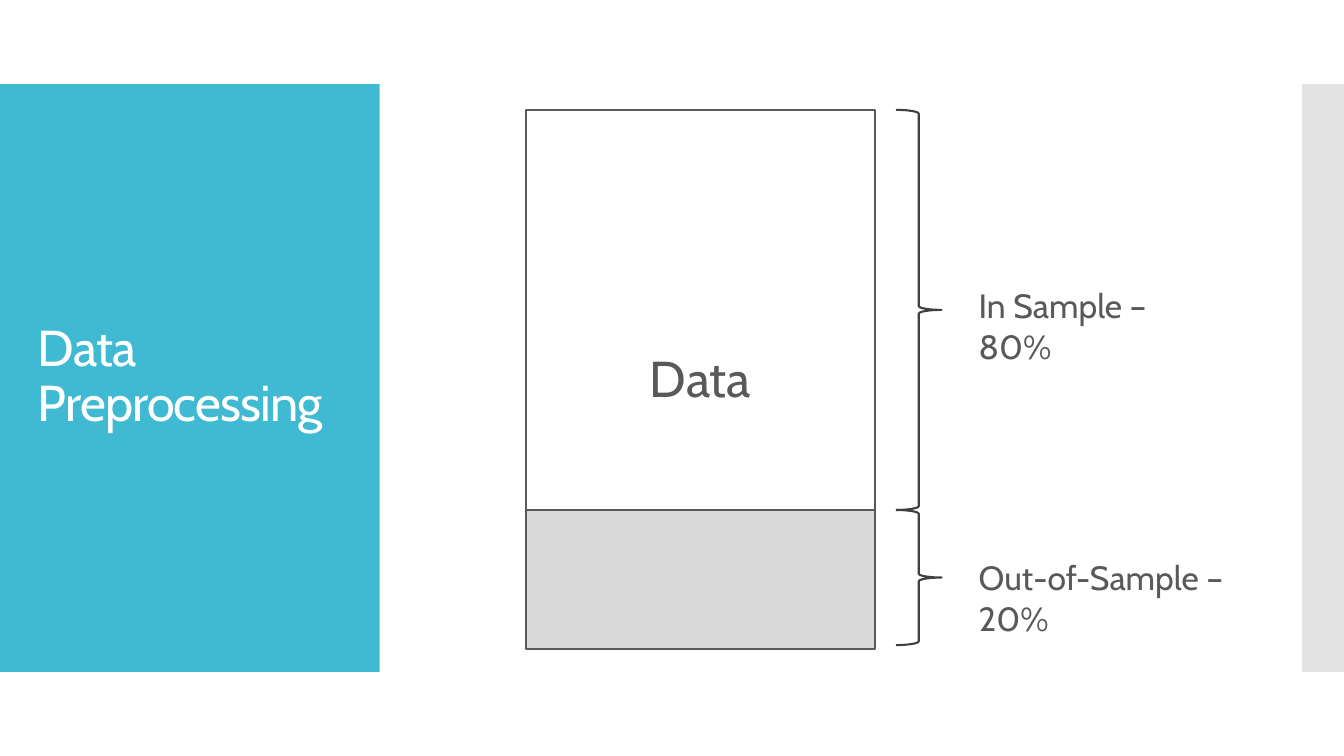
"""Build the data preprocessing slide: a data block split into two samples."""
from dataclasses import dataclass

from lxml import etree
from pptx import Presentation
from pptx.dml.color import RGBColor
from pptx.enum import shapes, text
from pptx.oxml.ns import qn
from pptx.util import Pt


@dataclass(frozen=True)
class Theme:
    """Colours, font and type sizes."""
    font: str = "Cabin"
    accent: str = "40BAD2"
    edge: str = "C8C8C8"
    white: str = "FFFFFF"
    grey: str = "D9D9D9"
    ink: str = "595959"
    brace: str = "404040"
    large: int = 36
    label: int = 24
    line: float = 1.5


T = Theme()


def add_preset(s, kind, box, fill=None, line=None, alpha=None):
    """Add a preset shape with an optional fill, outline and opacity."""
    sp = s.shapes.add_shape(kind, *map(Pt, box))
    sp.shadow.inherit = False
    if fill:
        sp.fill.solid()
        sp.fill.fore_color.rgb = RGBColor.from_string(fill)
    else:
        sp.fill.background()
    if line:
        sp.line.color.rgb = RGBColor.from_string(line)
        sp.line.width = Pt(T.line)
    else:
        sp.line.fill.background()
    if alpha:
        clr = sp.fill._xPr.find(f".//{qn('a:srgbClr')}")
        etree.SubElement(clr, qn("a:alpha")).set("val", str(alpha * 1000))
    return sp


def set_text(sp, words, size, color, anchor, align=text.PP_ALIGN.LEFT):
    """Write one paragraph into a shape and return it."""
    tf = sp.text_frame
    tf.text = words
    tf.word_wrap = True
    tf.vertical_anchor = anchor
    p = tf.paragraphs[0]
    p.alignment = align
    f = p.runs[0].font
    f.name, f.size = T.font, Pt(size)
    f.color.rgb = RGBColor.from_string(color)
    return p


def add_title(s, words, box):
    """Add the tightly set slide title."""
    tb = s.shapes.add_textbox(*map(Pt, box))
    p = set_text(tb, words, T.large, T.white, text.MSO_ANCHOR.MIDDLE)
    p.line_spacing = 0.9
    p.runs[0]._r.get_or_add_rPr().set("spc", "-60")


def add_sample(s, words, top, height, label_top, label_width):
    """Add a brace spanning one sample, with its label."""
    add_preset(s, shapes.MSO_SHAPE.RIGHT_BRACE, (640, top, 32.5, height), line=T.brace)
    tb = s.shapes.add_textbox(*map(Pt, (692, label_top, label_width, 36)))
    set_text(tb, words, T.label, T.ink, text.MSO_ANCHOR.TOP)


def main():
    """Build and save the slide."""
    prs = Presentation()
    prs.slide_width, prs.slide_height = Pt(960), Pt(540)
    s = prs.slides.add_slide(prs.slide_layouts[6])
    rect = shapes.MSO_SHAPE.RECTANGLE
    left, width, top, split = 375.8, 249.2, 78.5, 364.3

    add_preset(s, rect, (0, 60, 271.2, 420), T.accent)
    add_preset(s, rect, (930, 60, 30, 420), T.edge, alpha=50)
    add_title(s, "Data Preprocessing", (20, 88.6, 232, 362))

    data = add_preset(s, rect, (left, top, width, 381.6), T.white, T.ink)
    set_text(data, "Data", T.large, T.ink, text.MSO_ANCHOR.MIDDLE, text.PP_ALIGN.CENTER)
    add_sample(s, "In Sample – 80%", top, split - top, 200.2, 179.3)
    add_sample(s, "Out-of-Sample – 20%", split, 96.5, 394.6, 231.1)
    add_preset(s, rect, (left, split, width, 99.4), T.grey, T.ink)
    prs.save("out.pptx")


if __name__ == "__main__":
    main()
